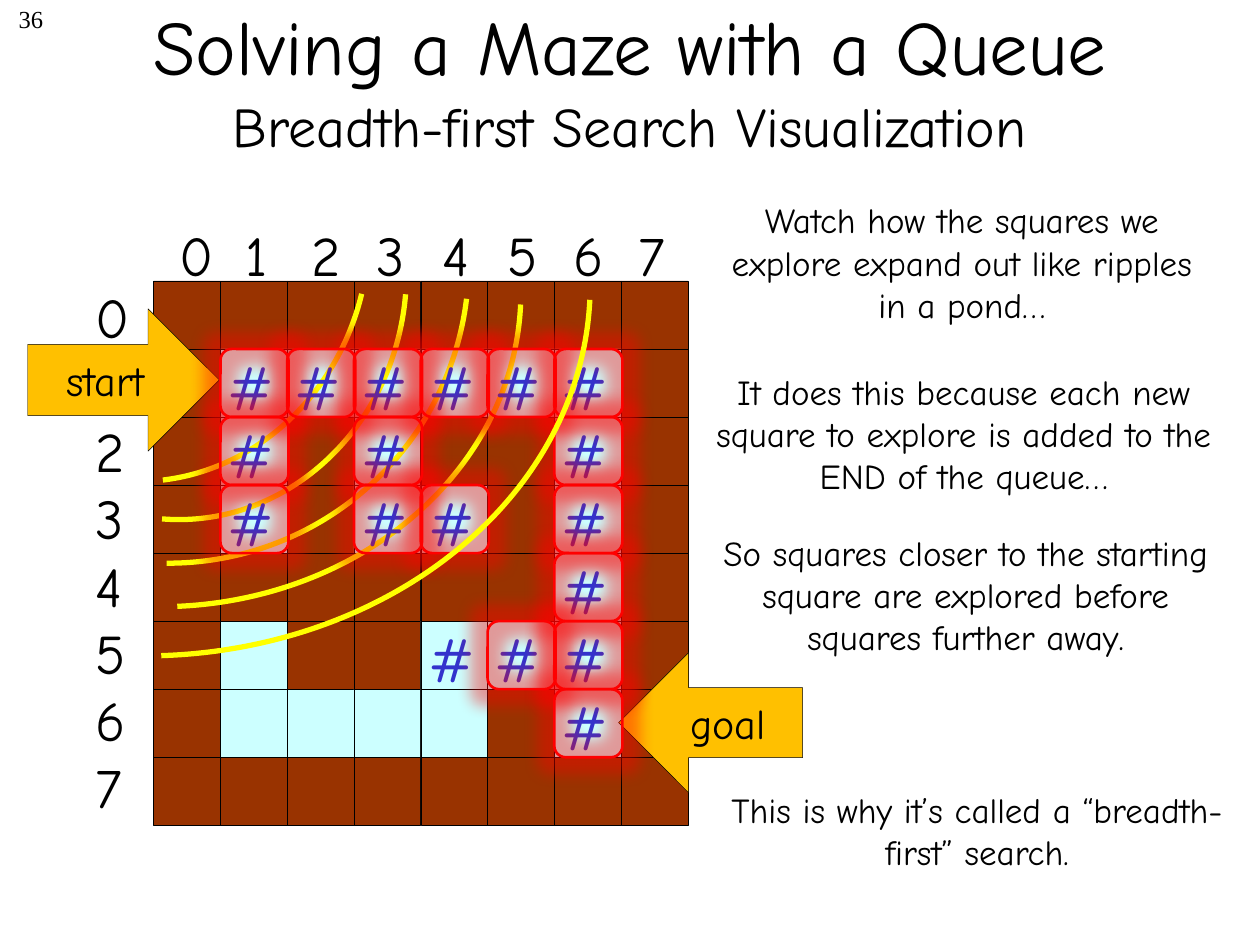
"""Build the slide that shows breadth-first search spreading through a maze."""
from lxml import etree
from pptx import Presentation
from pptx.dml.color import RGBColor
from pptx.enum.shapes import MSO_SHAPE
from pptx.enum.text import MSO_ANCHOR, MSO_AUTO_SIZE, PP_ALIGN
from pptx.oxml.ns import qn
from pptx.util import Inches, Pt

LEFT, CENTER, RIGHT = PP_ALIGN.LEFT, PP_ALIGN.CENTER, PP_ALIGN.RIGHT
RECTANGLE, ROUNDED, ARC = MSO_SHAPE.RECTANGLE, MSO_SHAPE.ROUNDED_RECTANGLE, MSO_SHAPE.ARC
RIGHT_ARROW, LEFT_ARROW = MSO_SHAPE.RIGHT_ARROW, MSO_SHAPE.LEFT_ARROW
MIDDLE, NO_AUTOFIT = MSO_ANCHOR.MIDDLE, MSO_AUTO_SIZE.NONE
WIDTH, HEIGHT = Inches(10), Inches(7.5)
MAZE_LEFT, MAZE_TOP = Inches(1.22), Inches(2.23)
COLUMN, ROW = Inches(0.53), Inches(0.54)
GLOW_RADIUS, GLOW_ALPHA = 228600, 40000
WALL, EXPLORED, QUEUED = "#", "o", "q"
MAZE = [
    "########",
    "#oooooo#",
    "#o#o##o#",
    "#o#oo#o#",
    "######o#",
    "#.##qoo#",
    "#....#o#",
    "########",
]


def area(left, top, width, height):
    """Turn percentages of the slide into a position and size."""
    return (int(WIDTH * left / 100), int(HEIGHT * top / 100),
            int(WIDTH * width / 100), int(HEIGHT * height / 100))


def write(shape, text, size, align=CENTER, color="000000", font="Comic Neue", wrap=True):
    """Fill a shape with text in one style."""
    frame = shape.text_frame
    frame.text = text
    frame.word_wrap = wrap
    for para in frame.paragraphs:
        para.alignment = align
        for span in para.runs:
            span.font.size = Pt(size)
            span.font.name = font
            span.font.color.rgb = RGBColor.from_string(color)


deck = Presentation()
deck.slide_width, deck.slide_height = WIDTH, HEIGHT
page = deck.slides.add_slide(deck.slide_layouts[5])
shapes = page.shapes

title = shapes.title
title.left, title.top, title.width, title.height = area(7.5, 0, 85, 16.67)
write(title, "Solving a Maze with a Queue\vBreadth-first Search Visualization", 44)
title.text_frame.auto_size = NO_AUTOFIT
title.text_frame.vertical_anchor = MIDDLE
title.text_frame.paragraphs[0].runs[1].font.size = Pt(32)

number = shapes.add_textbox(*area(0, -0.27, 4.4, 6.67))
write(number, "36", 14, RIGHT, font="Times New Roman")

digits = [str(index) for index in range(len(MAZE))]
row_labels = shapes.add_textbox(*area(6.6, 29.2, 4.8, 58.8))
write(row_labels, "\n".join(digits), 32, LEFT, wrap=False)
column_labels = shapes.add_textbox(*area(13.3, 22.67, 42.1, 8.53))
write(column_labels, "\t".join(digits), 32, LEFT)
properties = column_labels.text_frame.paragraphs[0]._p.get_or_add_pPr()
tabs = etree.SubElement(properties, qn("a:tabLst"))
for index in range(1, len(digits)):
    etree.SubElement(tabs, qn("a:tab"), pos=str(Inches(0.52) * index), algn="l")

for left, top, width, height, text in [
    (57, 20.4, 38.7, 14.8, "Watch how the squares we explore expand out like ripples in a pond…"),
    (54, 38.53, 45, 14.8, "It does this because each new square to explore is added to the END of the queue…"),
    (56.1, 55.6, 41.1, 14.8, "So squares closer to the starting square are explored before squares further away."),
    (57, 82.8, 41.1, 10.27, "This is why it’s called a “breadth-first” search."),
]:
    write(shapes.add_textbox(*area(left, top, width, height)), text, 20)

squares = [(MAZE_LEFT + column * COLUMN, MAZE_TOP + row * ROW, kind)
           for row, kinds in enumerate(MAZE) for column, kind in enumerate(kinds)]
for left, top, kind in squares:
    square = shapes.add_shape(RECTANGLE, left, top, COLUMN, ROW)
    square.shadow.inherit = False
    square.fill.solid()
    square.fill.fore_color.rgb = RGBColor.from_string("993300" if kind == WALL else "CCFFFF")
    square.line.color.rgb = RGBColor.from_string("000000")
    square.line.width = Pt(0.25)

for preset, place, text in [
    (RIGHT_ARROW, (2.2, 32.67, 15.2, 15.07), "start"),
    (LEFT_ARROW, (49.1, 69.07, 14.6, 14.8), "goal"),
]:
    arrow = shapes.add_shape(preset, *area(*place))
    arrow.shadow.inherit = False
    arrow.fill.solid()
    arrow.fill.fore_color.rgb = RGBColor.from_string("FFC000")
    arrow.line.color.rgb = RGBColor.from_string("000000")
    arrow.line.width = Pt(0.25)
    arrow.text_frame.vertical_anchor = MIDDLE
    write(arrow, text, 24, wrap=False)

ripples = []
for place, rotation, start, end in [
    ((-7.9, 1.47, 38.7, 47.47), 99.2, 165.1, 207.84),
    ((-4.9, 5.47, 38.7, 47.47), 94.7, 162, 0),
    ((-10.5, -4, 47.7, 63.6), 96.9, 162, 212.03),
    ((-13, -8.27, 50.6, 77.47), 92.6, 162, 212.03),
    ((-19.2, -18.67, 59.9, 96.27), 92.7, 162, 212.03),
]:
    ripple = shapes.add_shape(ARC, *area(*place))
    ripple.shadow.inherit = False
    ripple.rotation = rotation
    ripple.adjustments[0], ripple.adjustments[1] = start, end
    ripple.fill.background()
    ripple.line.color.rgb = RGBColor.from_string("FFFF00")
    ripple.line.width = Pt(3)
    ripples.append(ripple)

for left, top, kind in squares:
    if kind in (EXPLORED, QUEUED):
        mark = shapes.add_textbox(left - Inches(0.04), top - Inches(0.06), Inches(0.63), Inches(0.71))
        write(mark, "#", 36, LEFT, "3333CC", wrap=False)
    if kind == EXPLORED:
        halo = shapes.add_shape(ROUNDED, left, top, ROW, ROW)
        halo.shadow.inherit = False
        halo.fill.background()
        halo.line.color.rgb = RGBColor.from_string("FF0000")
        halo.line.width = Pt(1.5)
        effects = halo._element.spPr.find(qn("a:effectLst"))
        glow = etree.SubElement(effects, qn("a:glow"), rad=str(GLOW_RADIUS))
        tint = etree.SubElement(glow, qn("a:srgbClr"), val="FF0000")
        etree.SubElement(tint, qn("a:alpha"), val=str(GLOW_ALPHA))

outer_ripple = ripples[-1]._element
outer_ripple.getparent().append(outer_ripple)

deck.save("out.pptx")
